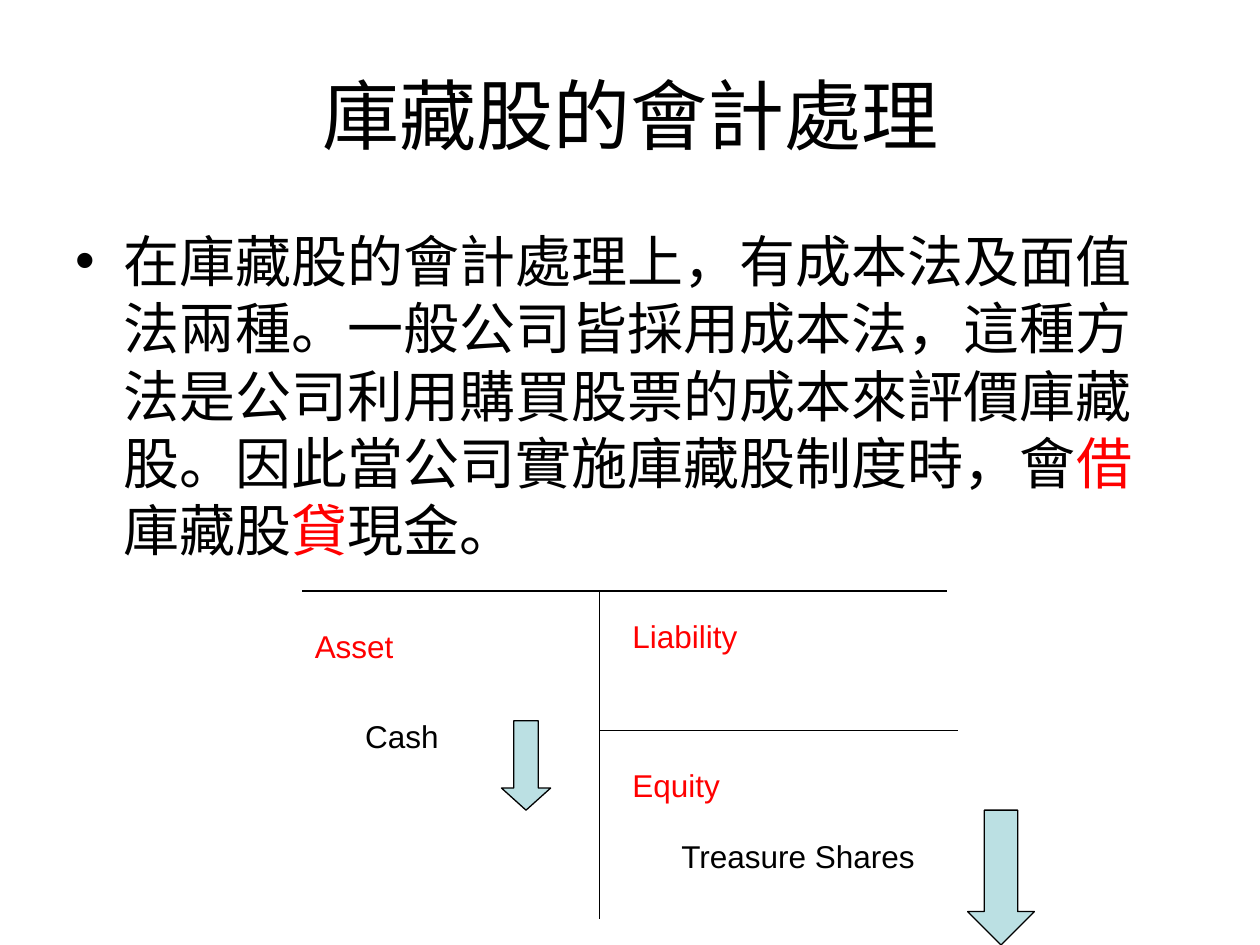
"""Build a slide on accounting for treasury shares, with a balance-sheet sketch."""
from lxml.etree import SubElement
from pptx import Presentation
from pptx.dml.color import RGBColor
from pptx.enum.shapes import MSO_CONNECTOR, MSO_SHAPE
from pptx.enum.text import MSO_ANCHOR, PP_ALIGN
from pptx.oxml.ns import qn
from pptx.util import Inches, Pt

BLACK = RGBColor(0x00, 0x00, 0x00)
RED = RGBColor(0xFF, 0x00, 0x00)
PALE_TEAL = RGBColor(0xBB, 0xE0, 0xE3)

TITLE = [("庫藏股的會計處理", BLACK)]
EXPLANATION = [
    ("在庫藏股的會計處理上，有成本法及面值法兩種。一般公司皆採用成本法，"
     "這種方法是公司利用購買股票的成本來評價庫藏股。因此當公司實施庫藏股制度時，會", BLACK),
    ("借", RED),
    ("庫藏股", BLACK),
    ("貸", RED),
    ("現金。", BLACK),
]

SHEET_LEFT, SHEET_TOP, SHEET_MIDDLE = 2.4, 4.69, 4.76
EQUITY_TOP = 5.8
RULES = [
    (SHEET_LEFT, SHEET_TOP, 7.52, SHEET_TOP),
    (SHEET_MIDDLE, SHEET_TOP, SHEET_MIDDLE, 7.29),
    (SHEET_MIDDLE, EQUITY_TOP, 7.6, EQUITY_TOP),
]
LABELS = [
    ("Asset", RED, (SHEET_LEFT, 4.93, 2.13, 0.4)),
    ("Liability", RED, (4.92, 4.85, 2.44, 0.4)),
    ("Equity", RED, (4.92, 6.03, 2.28, 0.4)),
    ("Cash", BLACK, (2.8, 5.64, 1.26, 0.4)),
    ("Treasure Shares", BLACK, (5.31, 6.59, 2.36, 0.4)),
]
DECREASES = [
    ((3.98, 5.72, 0.39, 0.71), 0.45),
    ((7.68, 6.43, 0.53, 1.07), 0.5),
]


def apply_format(target, values):
    for name, value in values.items():
        setattr(target, name, value)


def add_text(slide, place, runs, size, frame_format=None, bullet_indent=None,
             paragraph_format=None):
    frame = slide.shapes.add_textbox(*map(Inches, place)).text_frame
    apply_format(frame, {"word_wrap": True, **(frame_format or {})})
    paragraph = frame.paragraphs[0]
    if bullet_indent:
        properties = paragraph._p.get_or_add_pPr()
        properties.set("marL", str(Inches(bullet_indent)))
        properties.set("indent", str(-Inches(bullet_indent)))
        SubElement(properties, qn("a:buFont"), typeface="Arial")
        SubElement(properties, qn("a:buChar"), char="•")
    apply_format(paragraph, paragraph_format or {})
    for wording, color in runs:
        run = paragraph.add_run()
        run.text = wording
        apply_format(run.font, {"name": "Arial", "size": Pt(size)})
        run.font.color.rgb = color


def outline(shape):
    shape.line.color.rgb = BLACK
    shape.line.width = Pt(0.75)


def add_rule(slide, ends):
    rule = slide.shapes.add_connector(MSO_CONNECTOR.STRAIGHT, *map(Inches, ends))
    outline(rule)
    SubElement(rule._element.spPr, qn("a:effectLst"))


def add_decrease(slide, place, head_ratio):
    arrow = slide.shapes.add_shape(MSO_SHAPE.DOWN_ARROW, *map(Inches, place))
    arrow.adjustments[0] = 0.5
    arrow.adjustments[1] = head_ratio
    arrow.shadow.inherit = False
    arrow.fill.solid()
    arrow.fill.fore_color.rgb = PALE_TEAL
    outline(arrow)


def main():
    deck = Presentation()
    apply_format(deck, {"slide_width": Inches(10), "slide_height": Inches(7.5)})
    slide = deck.slides.add_slide(deck.slide_layouts[6])

    add_text(slide, (0.51, 0.28, 9, 1.25), TITLE, 44,
             frame_format={"vertical_anchor": MSO_ANCHOR.MIDDLE},
             paragraph_format={"alignment": PP_ALIGN.CENTER})
    add_text(slide, (0.5, 1.75, 9, 4.95), EXPLANATION, 32, bullet_indent=0.38)
    for ends in RULES:
        add_rule(slide, ends)
    for wording, color, place in LABELS:
        add_text(slide, place, [(wording, color)], 18)
    for place, head_ratio in DECREASES:
        add_decrease(slide, place, head_ratio)

    deck.save("out.pptx")


if __name__ == "__main__":
    main()
